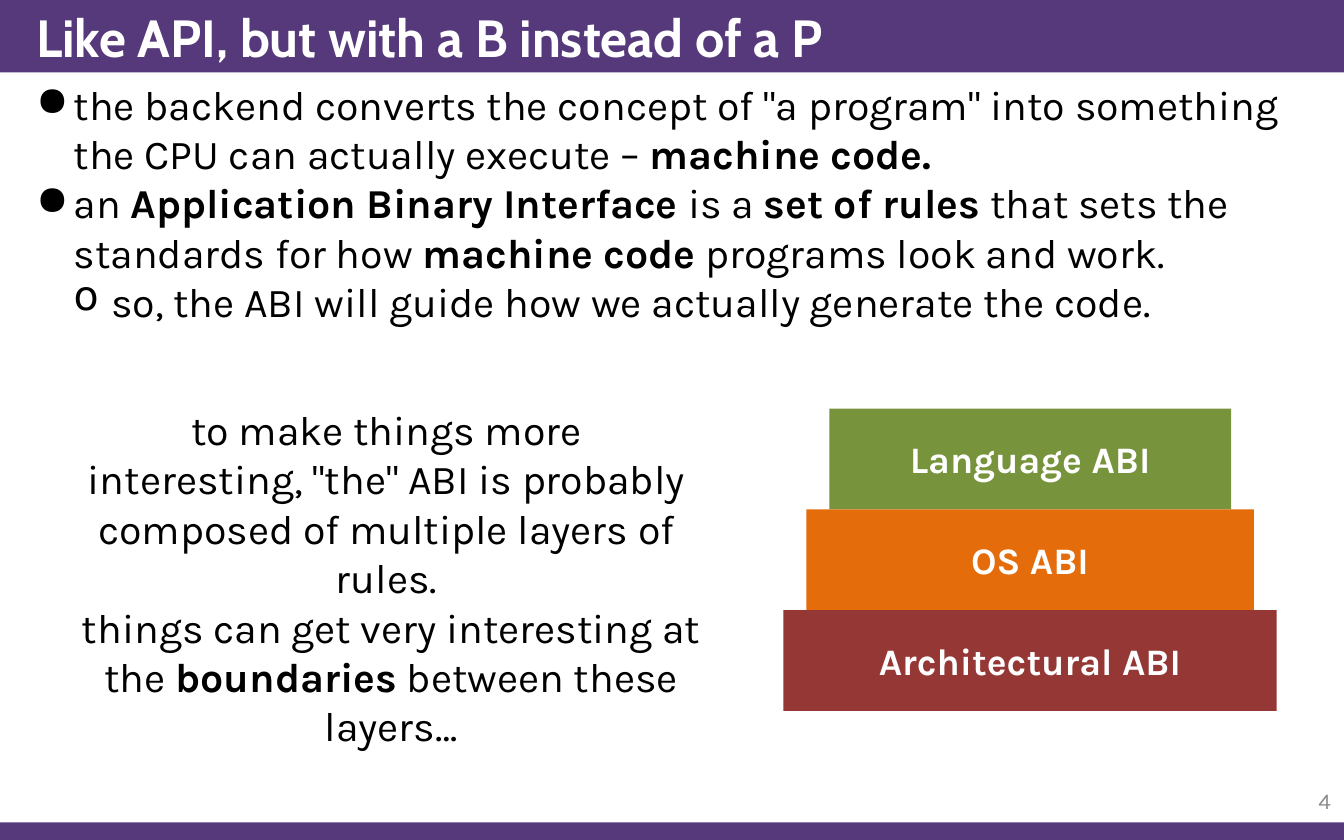
from lxml.etree import SubElement
from pptx import Presentation
from pptx.dml.color import RGBColor
from pptx.enum.shapes import MSO_SHAPE as Preset
from pptx.enum.text import MSO_ANCHOR as Anchor, PP_ALIGN as Align
from pptx.oxml.ns import qn
from pptx.util import Inches, Pt

PURPLE = RGBColor(0x56, 0x39, 0x7B)
GREEN = RGBColor(0x77, 0x93, 0x3C)
ORANGE = RGBColor(0xE4, 0x6C, 0x0A)
RED = RGBColor(0x95, 0x37, 0x35)
GRAY = RGBColor(0x8C, 0x8C, 0x8C)
BLACK = RGBColor(0, 0, 0)
WHITE = RGBColor(0xFF, 0xFF, 0xFF)

RULES = [
    (0, [('the backend converts the concept of "a program" into something '
          'the CPU can actually execute – ', False),
         ("machine code.", True)]),
    (0, [("an ", False), ("Application Binary Interface ", True),
         ("is a ", False), ("set of rules ", True),
         ("that sets the standards for how ", False),
         ("machine code", True), (" programs look and work.", False)]),
    (1, [("so, the ABI will guide how we actually generate the code.", False)]),
]
LAYERS_NOTE = [('to make things more interesting, "the" ABI is probably '
                'composed of multiple layers of rules.', False)]
BOUNDARIES_NOTE = [("things can get very interesting at the ", False),
                   ("boundaries", True), (" between these layers…", False)]
LAYERS = [("Language ABI", GREEN), ("OS ABI", ORANGE), ("Architectural ABI", RED)]
BULLETS = "●o"


def to_inches(box):
    """Convert a left, top, width, height box to lengths."""
    return [Inches(value) for value in box]


def add_runs(paragraph, runs, size=22, color=BLACK, font="Karla"):
    """Add (text, bold) runs in one font, size and colour."""
    for text, bold in runs:
        run = paragraph.add_run()
        run.text = text
        run.font.name = font
        run.font.size = Pt(size)
        run.font.bold = bold
        run.font.color.rgb = color


def add_block(slide, box, color):
    """Add a plain filled rectangle."""
    shape = slide.shapes.add_shape(Preset.RECTANGLE, *to_inches(box))
    shape.shadow.inherit = False
    shape.fill.solid()
    shape.fill.fore_color.rgb = color
    shape.line.fill.background()
    return shape


def add_text_frame(slide, box):
    """Add a wrapping text box and return its frame."""
    frame = slide.shapes.add_textbox(*to_inches(box)).text_frame
    frame.word_wrap = True
    return frame


def add_header(slide, box, text):
    """Place the title over its bar."""
    left, top, width, height = box
    title = slide.shapes.title
    title.element.addprevious(add_block(slide, box, PURPLE).element)
    indent = 0.17
    title.left, title.top, title.width, title.height = to_inches(
        (left + indent, top, width - indent, height))
    frame = title.text_frame
    frame.vertical_anchor = Anchor.MIDDLE
    paragraph = frame.paragraphs[0]
    paragraph.alignment = Align.LEFT
    add_runs(paragraph, [(text, True)], 28, WHITE, "Cabin")


def add_rules(slide, box, rules):
    """Place the bulleted list with hanging indents."""
    frame = add_text_frame(slide, box)
    step = 0.28
    for index, (level, runs) in enumerate(rules):
        paragraph = frame.add_paragraph() if index else frame.paragraphs[0]
        paragraph.level = level
        properties = paragraph._p.get_or_add_pPr()
        properties.set("marL", str(Inches(step * (level + 1))))
        properties.set("indent", str(Inches(-step)))
        SubElement(properties, qn("a:buChar")).set("char", BULLETS[level])
        add_runs(paragraph, runs)


def add_note(slide, box, runs):
    """Place a centred remark."""
    frame = add_text_frame(slide, box)
    frame.margin_left = frame.margin_right = Inches(0.13)
    paragraph = frame.paragraphs[0]
    paragraph.alignment = Align.CENTER
    add_runs(paragraph, runs)


def add_layer_stack(slide, box, layers):
    """Stack the layers, each narrower than the one below it."""
    left, top, width, height = box
    layer_height = height / len(layers)
    step = 0.17
    for index, (name, color) in enumerate(layers):
        inset = step * (len(layers) - 1 - index)
        layer = add_block(slide, (left + inset, top + index * layer_height,
                                  width - 2 * inset, layer_height), color)
        layer.text_frame.vertical_anchor = Anchor.MIDDLE
        paragraph = layer.text_frame.paragraphs[0]
        paragraph.alignment = Align.CENTER
        add_runs(paragraph, [(name, True)], 20, WHITE)


def add_footer(slide, box, number):
    """Place the bottom bar and the slide number above its right end."""
    left, top, width, height = box
    add_block(slide, box, PURPLE)
    frame = add_text_frame(slide, (left + width - 0.75, top - 0.33, 0.75, 0.33))
    frame.vertical_anchor = Anchor.MIDDLE
    paragraph = frame.paragraphs[0]
    paragraph.alignment = Align.RIGHT
    add_runs(paragraph, [(number, False)], 12, GRAY)


def main():
    """Build and save the slide."""
    presentation = Presentation()
    presentation.slide_width = Inches(10)
    presentation.slide_height = Inches(6.25)
    slide = presentation.slides.add_slide(presentation.slide_layouts[5])
    add_header(slide, (0, 0, 10, 0.54), "Like API, but with a B instead of a P")
    add_rules(slide, (0.17, 0.54, 9.83, 2), RULES)
    add_footer(slide, (0, 6.12, 10, 0.13), "4")
    add_layer_stack(slide, (5.83, 3.04, 3.67, 2.25), LAYERS)
    add_note(slide, (0.5, 2.96, 4.75, 1.21), LAYERS_NOTE)
    add_note(slide, (0.25, 4.43, 5.32, 0.84), BOUNDARIES_NOTE)
    presentation.save("out.pptx")


if __name__ == "__main__":
    main()
